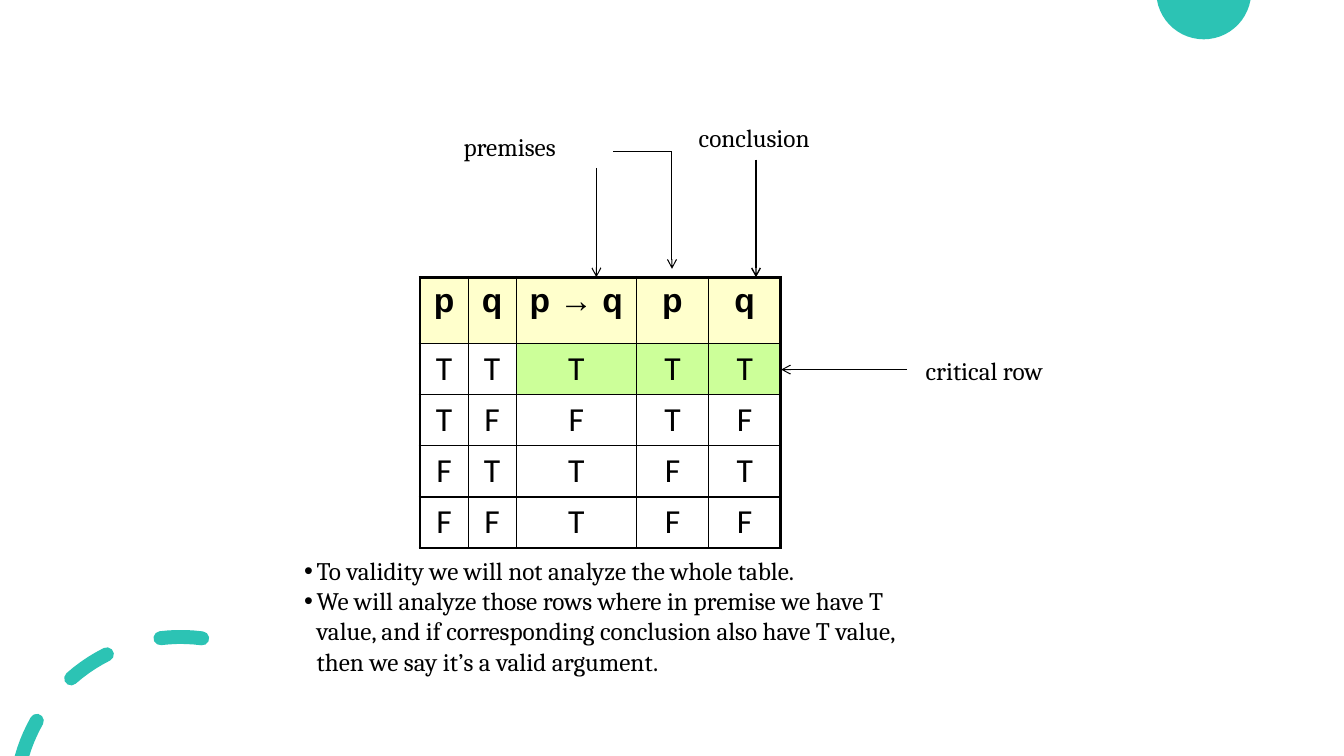
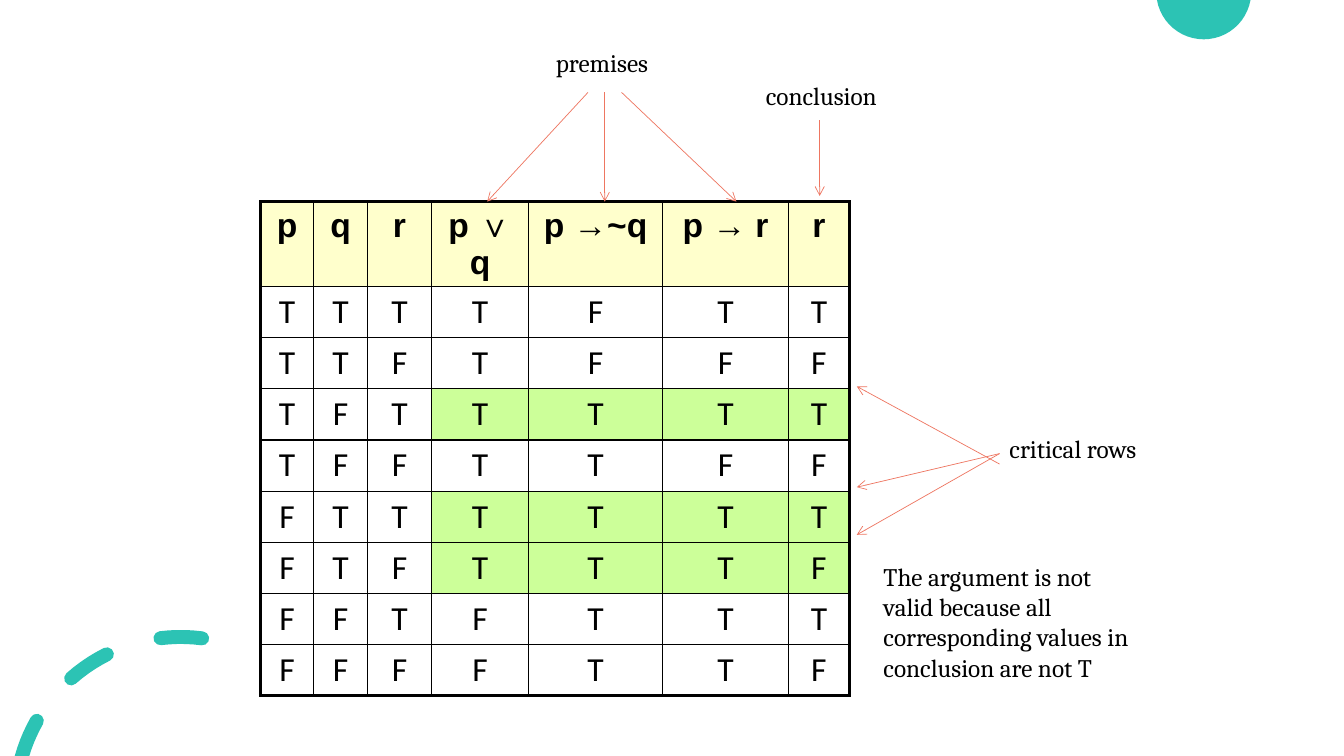
"""Build two slides that test arguments with truth tables."""
from dataclasses import dataclass
from math import acos, cos, degrees, radians, sin

from lxml.etree import SubElement
from pptx import Presentation
from pptx.dml.color import RGBColor
from pptx.enum.shapes import MSO_CONNECTOR
from pptx.enum.text import MSO_ANCHOR, MSO_AUTO_SIZE, PP_ALIGN
from pptx.oxml.ns import qn
from pptx.util import Pt


@dataclass(frozen=True)
class Theme:
    """Colours, fonts and sizes shared by the slides."""

    ink: RGBColor = RGBColor(0, 0, 0)
    teal: RGBColor = RGBColor(0x2C, 0xC3, 0xB4)
    coral: RGBColor = RGBColor(0xEE, 0x76, 0x61)
    head: RGBColor = RGBColor(0xFF, 0xFF, 0xCC)
    mark: RGBColor = RGBColor(0xCC, 0xFF, 0x99)
    serif: str = "Cambria"
    sans: str = "Calibri"
    bold: str = "Arial"
    text: int = 18
    cell: int = 24
    frame: float = 2.25
    grid: float = 1


THEME = Theme()
WIDE, HIGH = 960, 540


def style(para, face, size, bold=False):
    """Format the runs of a paragraph."""
    for run in para.runs:
        font = run.font
        font.name, font.size, font.bold = face, Pt(size), bold
        font.color.rgb = THEME.ink


def arc(mid, size, start, end, steps=5):
    """Return points of an arc, in degrees clockwise from the top."""
    turns = [radians(start + (end - start) * i / steps) for i in range(steps + 1)]
    return [(mid[0] + size * sin(t), mid[1] - size * cos(t)) for t in turns]


def cross(mid, size, level):
    """Return the angle at which a circle meets a level line."""
    return degrees(acos((mid[1] - level) / size))


def dash(mid, size, half, end, start=None):
    """Return a curved dash, cut at the slide's foot if it has no start."""
    outer, inner = size + half, size - half
    tip = arc(arc(mid, size, end, end)[0], half, end, end + 180)
    if start is None:
        return (arc(mid, outer, -cross(mid, outer, HIGH), end) + tip
                + arc(mid, inner, end, -cross(mid, inner, HIGH)))
    tail = arc(arc(mid, size, start, start)[0], half, start + 180, start + 360)
    return arc(mid, outer, start, end) + tip + arc(mid, inner, end, start) + tail


def add_form(slide, loops):
    """Draw closed teal outlines as one shape."""
    form = None
    for loop in loops:
        dots = [(Pt(x), Pt(y)) for x, y in loop]
        if form is None:
            form = slide.shapes.build_freeform(*dots[0], scale=1.0)
        else:
            form.move_to(*dots[0])
        form.add_line_segments(dots[1:], close=True)
    shape = form.convert_to_shape()
    shape.shadow.inherit = False
    shape.fill.solid()
    shape.fill.fore_color.rgb = THEME.teal
    shape.line.fill.background()
    return shape


def add_decor(deck, slide):
    """Put the teal disc and dashes on the slide master."""
    hub, top, size = (129, 573), (859.8, -5.8), 33.9
    dashes = [dash(hub, 118, 5, *ends)
              for ends in ((-60.5,), (-26.5, -41.5), (7.5, -7))]
    edge = cross(top, size, 0)
    disc = arc(top, size, edge, 360 - edge, 24)
    for loops in ([disc], dashes):
        shape = add_form(slide, loops)
        deck.slide_master.shapes.element.append(shape.element)


def add_label(slide, text, left, top, width, height=29, anchor=MSO_ANCHOR.TOP):
    """Add a plain serif text box."""
    box = slide.shapes.add_textbox(Pt(left), Pt(top), Pt(width), Pt(height))
    frame = box.text_frame
    frame.word_wrap = True
    frame.vertical_anchor = anchor
    frame.text = text
    style(frame.paragraphs[0], THEME.serif, THEME.text)
    return box


def add_line(slide, start, end, color, width, arrow=True):
    """Add a straight line, with an open arrowhead if wanted."""
    link = slide.shapes.add_connector(
        MSO_CONNECTOR.STRAIGHT, *(Pt(v) for v in (*start, *end)))
    link.line.color.rgb = color
    link.line.width = Pt(width)
    props = link.element.spPr
    if arrow:
        SubElement(props.find(qn("a:ln")), qn("a:tailEnd"), type="arrow")
    SubElement(props, qn("a:effectLst"))
    return link


def set_edges(cell, edges):
    """Draw the four borders of a cell, given as side and width."""
    props = cell._tc.get_or_add_tcPr()
    for side, width in edges.items():
        edge = SubElement(props, qn(f"a:ln{side}"), w=str(Pt(width)))
        fill = SubElement(edge, qn("a:solidFill"))
        SubElement(fill, qn("a:srgbClr"), val=str(THEME.ink))


def add_truth(slide, spot, cols, tops, heads, lines, marks, first):
    """Add a truth table; marked rows are lit from column first on."""
    grid = [heads, *lines]
    tall = [tops[0]] + [tops[1]] * len(lines)
    table = slide.shapes.add_table(
        len(grid), len(cols), *(Pt(v) for v in (*spot, sum(cols), sum(tall)))).table
    table.first_row = table.horz_banding = False
    for col, width in zip(table.columns, cols):
        col.width = Pt(width)
    for row, height in zip(table.rows, tall):
        row.height = Pt(height)
    for r, line in enumerate(grid):
        for c, text in enumerate(line):
            cell = table.cell(r, c)
            ends = {"L": c == 0, "R": c == len(cols) - 1,
                    "T": r == 0, "B": r == len(lines)}
            set_edges(cell, {side: THEME.frame if outer else THEME.grid
                             for side, outer in ends.items()})
            if r == 0 or (r in marks and c >= first):
                cell.fill.solid()
                cell.fill.fore_color.rgb = THEME.mark if r else THEME.head
            else:
                cell.fill.background()
            cell.text_frame.text = text
            para = cell.text_frame.paragraphs[0]
            para.alignment = PP_ALIGN.CENTER
            para.space_after = Pt(10)
            style(para, THEME.sans if r else THEME.bold, THEME.cell, r == 0)


def add_list(slide, items, left, top, width, height):
    """Fill the body placeholder with a compact bulleted list."""
    body = slide.placeholders[1]
    body.left, body.top, body.width, body.height = (
        Pt(v) for v in (left, top, width, height))
    frame = body.text_frame
    frame.text = "\n".join(items)
    frame.word_wrap = True
    frame.auto_size = MSO_AUTO_SIZE.NONE
    frame.vertical_anchor = MSO_ANCHOR.TOP
    for para in frame.paragraphs:
        props = para._p.get_or_add_pPr()
        props.set("marL", str(Pt(9)))
        props.set("indent", str(Pt(-9)))
        para.space_before = Pt(0)
        para.alignment = PP_ALIGN.LEFT
        style(para, THEME.serif, THEME.text)


def fill_valid(slide):
    """Show the valid argument and how to read its table."""
    title = slide.shapes.title.element
    title.getparent().remove(title)
    add_truth(slide, (300, 198), (34.4, 34.4, 85.8, 51.6, 51.6), (47.5, 36.4),
              ("p", "q", "p → q", "p", "q"),
              ("TTTTT", "TFFTF", "FTTFT", "FFTFF"), {1}, 2)
    add_label(slide, "premises", 324, 90, 104)
    add_label(slide, "conclusion", 492, 84, 104)
    add_label(slide, "critical row", 654, 250.5, 104)
    for start, end, width, arrow in (
            ((426, 120), (426, 198), 0.75, True),
            ((438, 108), (480, 108), 0.75, False),
            ((480, 108), (480, 192), 0.75, True),
            ((540, 114), (540, 198), 1, True),
            ((648, 264), (558, 264), 0.75, True)):
        add_line(slide, start, end, THEME.ink, width, arrow)
    add_list(slide, (
        "To validity we will not analyze the whole table.",
        "We will analyze those rows where in premise we have T value, and if "
        "corresponding conclusion also have T value, then we say it’s a valid "
        "argument."), 210, 393, 444, 94)


def fill_flawed(slide):
    """Show the argument that fails in a critical row."""
    add_truth(slide, (186, 144), (38.2, 38.2, 46, 69.2, 95.8, 90, 43.3), (60.4, 36.4),
              ("p", "q", "r", "p ∨ q", "p →~q", "p → r", "r"),
              ("TTTTFTT", "TTFTFFF", "TFTTTTT", "TFFTTFF",
               "FTTTTTT", "FTFTTTF", "FFTFTTT", "FFFFTTF"), {3, 5, 6}, 3)
    add_label(slide, "premises", 390, 30, 160)
    add_label(slide, "conclusion", 540, 54, 117)
    rows = add_label(slide, "critical rows", 714, 306, 111, 51)
    links = [add_line(slide, start, end, THEME.coral, 0.5) for start, end in (
        ((714, 331.5), (612, 276)),
        ((714, 324), (612, 348)),
        ((714, 324), (612, 382)),
        ((420, 66), (348, 144)),
        ((432, 66), (432, 144)),
        ((444, 66), (526, 144)),
        ((585.5, 86), (585.5, 140)))]
    links[0].begin_connect(rows, 1)
    add_label(slide, "The argument is not valid because all corresponding values "
              "in conclusion are not T", 624, 396, 192, 96, MSO_ANCHOR.MIDDLE)


def main():
    """Build and save the deck."""
    deck = Presentation()
    deck.slide_width, deck.slide_height = Pt(WIDE), Pt(HIGH)
    valid = deck.slides.add_slide(deck.slide_layouts[1])
    flawed = deck.slides.add_slide(deck.slide_layouts[6])
    add_decor(deck, valid)
    fill_valid(valid)
    fill_flawed(flawed)
    deck.save("out.pptx")


if __name__ == "__main__":
    main()
